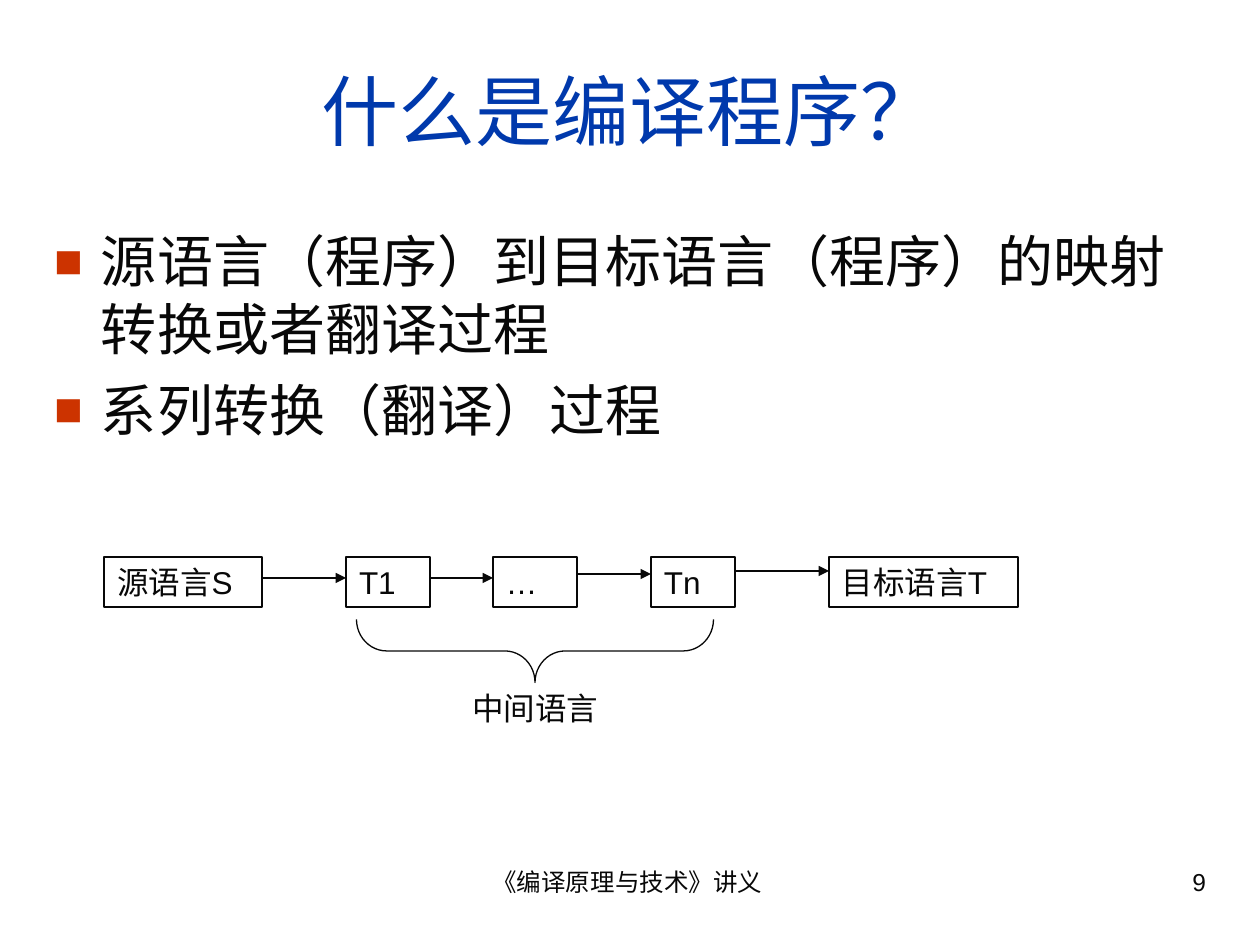
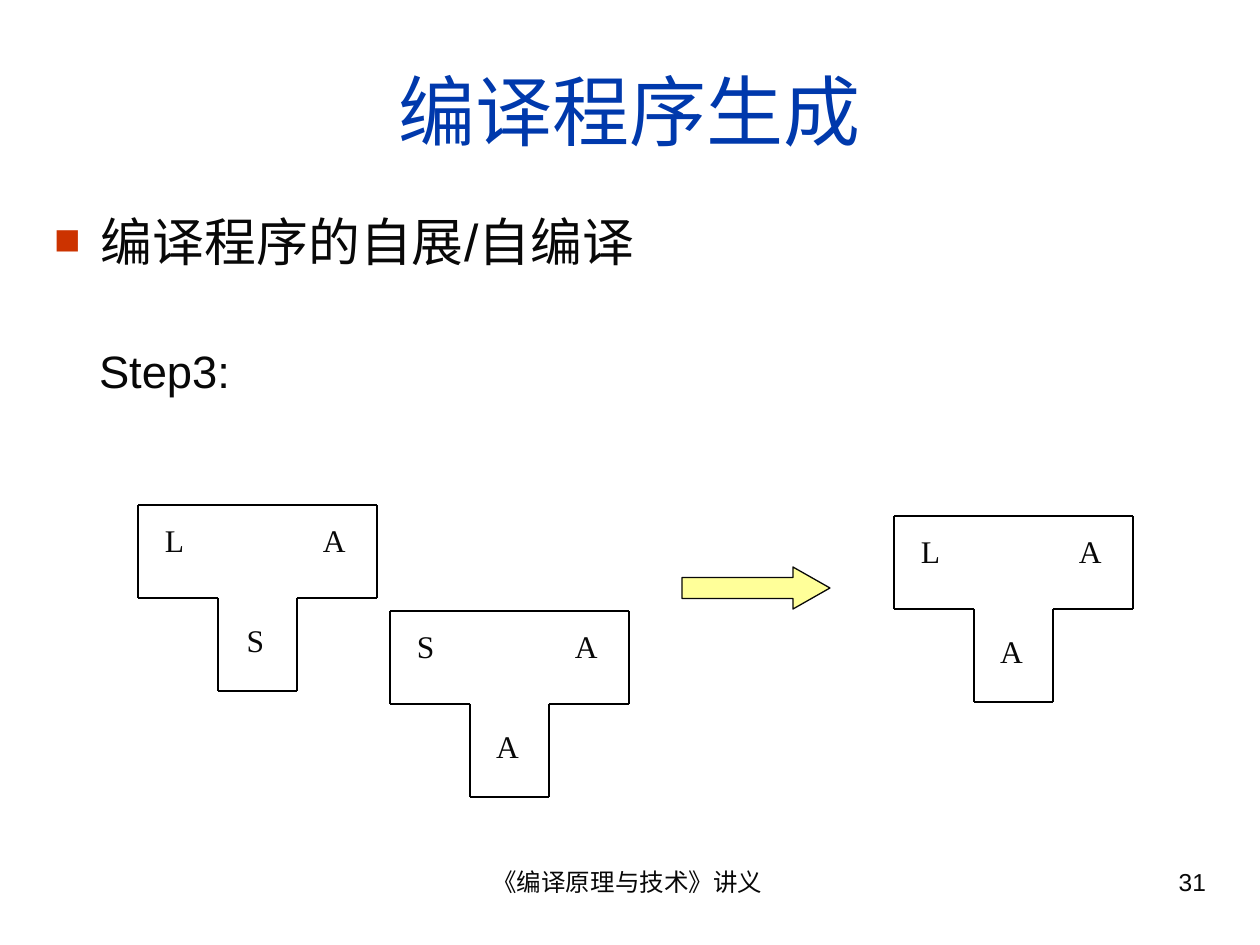
"""Build two lecture slides about compilers."""
from lxml import etree
from pptx import Presentation
from pptx.dml.color import RGBColor
from pptx.enum.shapes import MSO_CONNECTOR, MSO_SHAPE
from pptx.enum.text import MSO_ANCHOR, PP_ALIGN
from pptx.oxml.ns import qn
from pptx.util import Pt

SCALE = 914400 / 126
COLOURS = {"title": "0039AC", "ink": "080808", "bullet": "CC3300",
           "outline": "000000", "arrow": "FFFF99"}
FONT, DIAGRAM_FONT = "Arial", "Times New Roman"
LEFT, CENTER, RIGHT = PP_ALIGN.LEFT, PP_ALIGN.CENTER, PP_ALIGN.RIGHT
TOP, MIDDLE = MSO_ANCHOR.TOP, MSO_ANCHOR.MIDDLE
RECTANGLE, BRACE, ARROW = MSO_SHAPE.RECTANGLE, MSO_SHAPE.RIGHT_BRACE, MSO_SHAPE.RIGHT_ARROW
STRAIGHT = MSO_CONNECTOR.STRAIGHT
FOOTER = "《编译原理与技术》讲义"
HANGING = 47


def px(length):
    """Turn pixels into EMU."""
    return round(length * SCALE)


def colour(name):
    """Return a named colour."""
    return RGBColor.from_string(COLOURS[name])


def add_element(parent, tag, **attributes):
    """Append a DrawingML element to a parent."""
    return etree.SubElement(parent, qn(tag), attributes)


def style_paragraph(para, size, align=LEFT, ink="ink", font=FONT):
    """Set alignment and font of a paragraph's runs."""
    para.alignment = align
    for span in para.runs:
        span.font.size = Pt(size)
        span.font.name = font
        span.font.color.rgb = colour(ink)


def set_frame(frame, anchor=TOP, inset=(13, 6)):
    """Set wrapping, anchor and insets of a text frame."""
    frame.word_wrap = True
    frame.vertical_anchor = anchor
    frame.margin_left = frame.margin_right = px(inset[0])
    frame.margin_top = frame.margin_bottom = px(inset[1])


def add_text(page, box, text, size, align=LEFT, anchor=TOP, ink="ink",
             font=FONT, inset=(13, 6)):
    """Add a text box whose paragraphs share one style."""
    frame = page.shapes.add_textbox(*map(px, box)).text_frame
    set_frame(frame, anchor, inset)
    frame.text = text
    for para in frame.paragraphs:
        style_paragraph(para, size, align, ink, font)
    return frame


def style_shape(shape, fill=None):
    """Give a shape a thin line, an optional fill and no shadow."""
    shape.shadow.inherit = False
    shape.line.color.rgb = colour("ink")
    shape.line.width = Pt(0.75)
    if fill:
        shape.fill.solid()
        shape.fill.fore_color.rgb = colour(fill)
    else:
        shape.fill.background()


def add_bullet(para):
    """Give a paragraph a hanging square bullet."""
    properties = para._p.get_or_add_pPr()
    properties.set("marL", str(px(HANGING)))
    properties.set("indent", str(-px(HANGING)))
    add_element(add_element(properties, "a:buClr"), "a:srgbClr", val=COLOURS["bullet"])
    add_element(properties, "a:buSzPct", val="85000")
    add_element(properties, "a:buFont", typeface=FONT)
    add_element(properties, "a:buChar", char="■")


def add_page(deck, title, number):
    """Add a slide with the shared title and footer."""
    page = deck.slides.add_slide(deck.slide_layouts[6])
    add_text(page, (41, 31, 1177, 157), title, 44, CENTER, MIDDLE, "title")
    add_text(page, (428, 861, 399, 66), FOOTER, 14, CENTER)
    add_text(page, (904, 861, 315, 66), str(number), 14, RIGHT)
    return page


def add_line(page, start, end, ink="ink", head=False):
    """Add a thin straight line with an optional triangular head."""
    line = page.shapes.add_connector(STRAIGHT, *map(px, (*start, *end)))
    line.line.color.rgb = colour(ink)
    line.line.width = Pt(0.75)
    if head:
        add_element(line.line._get_or_add_ln(), "a:tailEnd", type="triangle")
    add_element(line._element.spPr, "a:effectLst")


def add_translation_chain(page, left, top):
    """Draw the languages from source to target, joined by arrows."""
    stages = [("源语言S", 0, 158), ("T1", 242, 84), ("…", 389, 84),
              ("Tn", 547, 84), ("目标语言T", 725, 189)]
    for text, offset, width in stages:
        stage = page.shapes.add_shape(
            RECTANGLE, px(left + offset), px(top), px(width), px(50))
        style_shape(stage)
        set_frame(stage.text_frame)
        stage.text_frame.text = text
        style_paragraph(stage.text_frame.paragraphs[0], 18)
    for (_, offset, width), (_, following, _), drop in zip(stages, stages[1:], (21, 21, 17, 14)):
        add_line(page, (left + offset + width, top + drop),
                 (left + following, top + drop), head=True)
    length, depth = 357, 63
    middle_x, middle_y = left + 431, top + 94
    brace = page.shapes.add_shape(BRACE, px(middle_x - depth / 2),
                                  px(middle_y - length / 2), px(depth), px(length))
    brace.rotation = 90
    brace.adjustments[0] = 0.48
    style_shape(brace)
    add_text(page, (middle_x - 105, top + 126, 210, 50), "中间语言", 18, CENTER)


def add_t_diagram(page, left, top, source, target, host):
    """Draw a T diagram with source, target and host languages."""
    width, height, arm, stem_left, stem_right = 239, 186, 93, 80, 159
    points = [(0, 0), (0, arm), (stem_left, arm), (stem_left, height),
              (stem_right, height), (stem_right, arm), (width, arm), (width, 0)]
    corners = [(left + x, top + y) for x, y in points]
    for start, end in zip(corners, corners[1:] + corners[:1]):
        add_line(page, start, end, "outline")
    frame = add_text(page, (left + 14, top + 16, 213, 62), f"{source}\t{target}", 18,
                     font=DIAGRAM_FONT, inset=(13, 0))
    tabs = add_element(frame.paragraphs[0]._p.get_or_add_pPr(), "a:tabLst")
    add_element(tabs, "a:tab", pos=str(px(158)), algn="l")
    add_text(page, (left + 91, top + 116, 53, 62), host, 18, CENTER,
             font=DIAGRAM_FONT, inset=(0, 0))


def build_definition(deck):
    """Build the slide that defines a compiler."""
    page = add_page(deck, "什么是编译程序？", 9)
    points = ["源语言（程序）到目标语言（程序）的映射转换或者翻译过程", "系列转换（翻译）过程"]
    body = add_text(page, (41, 221, 1177, 252), "\n".join(points), 32)
    for para in body.paragraphs:
        add_bullet(para)
    body.paragraphs[1].space_before = Pt(8)
    add_translation_chain(page, 104, 557)


def build_bootstrap(deck):
    """Build the slide on the third bootstrapping step."""
    page = add_page(deck, "编译程序生成", 31)
    body = add_text(page, (41, 221, 662, 231), "编译程序的自展/自编译\nStep3:", 29.6)
    heading, step = body.paragraphs
    add_bullet(heading)
    style_paragraph(step, 25.9)
    step._p.get_or_add_pPr().set("marL", str(px(HANGING - 2)))
    step.space_before = Pt(50)
    for para in body.paragraphs:
        para.line_spacing = 0.7
    for diagram in [(138, 505, "L", "A", "S"), (390, 611, "S", "A", "A"),
                    (894, 516, "L", "A", "A")]:
        add_t_diagram(page, *diagram)
    arrow = page.shapes.add_shape(ARROW, px(682), px(567), px(148), px(42))
    arrow.adjustments[0], arrow.adjustments[1] = 0.5, 0.88
    style_shape(arrow, "arrow")


def main():
    """Build and save the deck."""
    deck = Presentation()
    deck.slide_width, deck.slide_height = px(1260), px(945)
    build_definition(deck)
    build_bootstrap(deck)
    deck.save("out.pptx")


if __name__ == "__main__":
    main()
